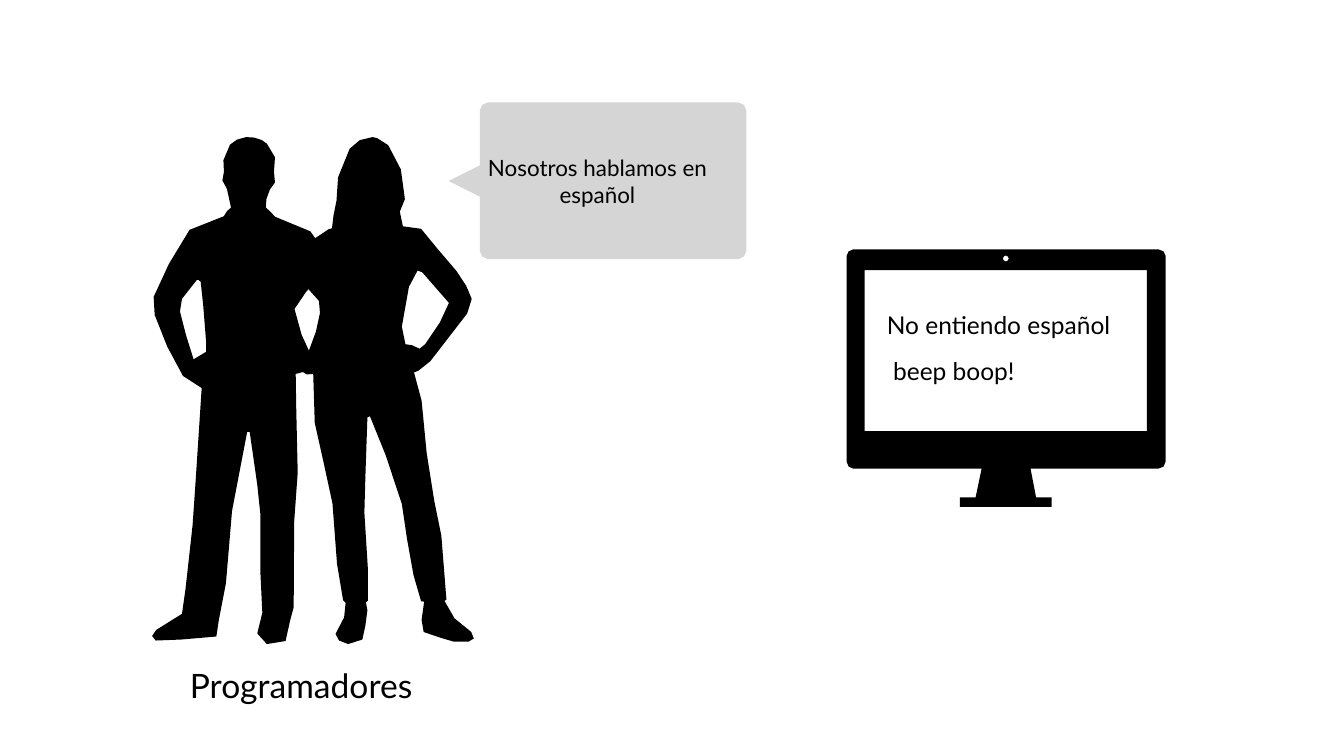
from dataclasses import dataclass
from pptx import Presentation
from pptx.dml.color import RGBColor as RGB
from pptx.enum.text import MSO_ANCHOR as Anchor, MSO_AUTO_SIZE as Fit, PP_ALIGN as Align
from pptx.util import Cm, Pt


@dataclass(frozen=True)
class Theme:
    font: str = "Lato"
    ink: RGB = RGB(0, 0, 0)
    cloud: RGB = RGB(0xD5, 0xD5, 0xD5)
    speech: int = 32
    screen: int = 35
    label: int = 48
    inset: float = 0.15  # cm
    gap: int = 24


THEME = Theme()

# Outlines: the first ring is the body, the others are holes (1/100 inch)
MAN = [
    """488,272 470,277 456,287 443,318 444,341 441,358 450,375 458,412 450,419
    444,429 376,456 335,524 305,589 307,625 332,688 363,746 380,757 400,770
    388,955 382,1042 368,1169 361,1218 310,1250 302,1262 309,1271 360,1269
    429,1263 434,1230 448,1157 460,1014 490,857 495,857 510,962 516,1019
    516,1133 520,1216 510,1257 529,1278 566,1272 575,1231 582,1205 583,1035
    590,938 587,807 586,742 628,731 663,665 684,615 691,603 688,578 680,571
    650,509 615,459 545,430 537,421 527,412 528,395 535,376 545,362 543,341
    545,312 529,285 519,278 504,273""",
    "593,554 599,560 632,597 634,621 626,658 611,699 578,692 580,644 588,561",
    """393,555 398,559 403,606 409,681 409,698 384,713 369,665 357,618 361,593
    390,556""",
]
WOMAN = [
    """740,272 715,278 695,295 672,352 669,398 663,428 660,453 653,455 619,478
    543,595 540,619 555,658 590,717 601,737 610,743 623,742 626,839 644,920
    661,999 670,1119 682,1191 687,1196 684,1225 667,1258 674,1271 692,1278
    720,1269 726,1241 730,1211 727,1195 731,1192 731,1130 724,1017 726,946
    730,828 735,826 766,903 798,1000 808,1068 821,1141 836,1193 842,1194
    837,1230 841,1254 861,1261 876,1266 900,1273 930,1273 940,1267 935,1254
    902,1227 882,1192 886,1190 883,1152 876,1063 862,994 847,899 837,795
    822,739 830,736 854,717 927,622 936,593 925,567 906,538 867,492 836,454
    800,449 794,420 804,395 796,336 771,288 749,274""",
    "829,537 838,540 891,601 873,640 844,683 833,692 818,685 805,683 798,648 812,569",
    """639,548 645,555 649,573 658,610 653,652 639,690 616,699 600,664 586,613
    609,579 633,552""",
]
SCREEN = [
    """1693,495 1684,499 1680,508 1680,915 1684,925 1693,929 1948,929 1936,986
    1905,986 1905,1005 2087,1005 2087,986 2056,986 2045,929 2299,929 2309,925
    2313,915 2313,508 2309,499 2299,495""",
    "1996,507 2000,509 2002,513 2000,517 1996,519 1992,517 1990,513 1992,509",
    "1716,536 2276,536 2276,855 1716,855",
]
BUBBLE = [
    """968,203 957,208 952,219 952,328 890,359 952,390 952,498 957,509 968,514
    1465,514 1476,509 1481,498 1481,219 1476,208 1465,203""",
]


def read(ring):
    return [tuple(map(float, pair.split(","))) for pair in ring.split()]


def draw(slide, box, rings, fill):
    """Fit an outline with its holes into a box given in cm."""
    left, top, wide, high = box
    rings = [read(ring) for ring in rings]
    xs, ys = zip(*rings[0])
    fx, fy = wide / (max(xs) - min(xs)), high / (max(ys) - min(ys))
    rings = [[(Cm(left + (x - min(xs)) * fx), Cm(top + (y - min(ys)) * fy))
              for x, y in ring] for ring in rings]
    pen = slide.shapes.build_freeform(*rings[0][0])
    pen.add_line_segments(rings[0][1:])
    for hole in rings[1:]:
        pen.move_to(*hole[0])
        pen.add_line_segments(hole[1:])
    shape = pen.convert_to_shape()
    shape.shadow.inherit = False
    shape.fill.solid()
    shape.fill.fore_color.rgb = fill
    shape.line.fill.background()
    return shape


def write(shape, text, size, wrap=False, align=Align.LEFT, gap=THEME.gap):
    frame = shape.text_frame
    frame.text = text
    frame.word_wrap = wrap
    frame.auto_size = Fit.NONE if wrap else Fit.SHAPE_TO_FIT_TEXT
    frame.vertical_anchor = Anchor.MIDDLE
    frame.margin_left = frame.margin_right = Cm(THEME.inset)
    frame.margin_top = frame.margin_bottom = Cm(THEME.inset)
    for para in frame.paragraphs:
        para.alignment = align
        para.space_before = Pt(gap)
        for run in para.runs:
            run.font.name = THEME.font
            run.font.size = Pt(size)
            run.font.color.rgb = THEME.ink


def label(slide, box, text, size):
    write(slide.shapes.add_textbox(*map(Cm, box)), text, size)


def team(slide, left, top):
    """Two people, their speech bubble and their caption."""
    draw(slide, (left, top, 9.91, 25.55), MAN, THEME.ink)
    draw(slide, (left + 6, top, 10.21, 25.55), WOMAN, THEME.ink)
    cloud = draw(slide, (left + 14.94, top - 1.75, 15.01, 7.9), BUBBLE, THEME.cloud)
    write(cloud, "Nosotros hablamos en español", THEME.speech, True, Align.CENTER, 0)
    label(slide, (left + 1.75, top + 26.34, 12.47, 2.51), "Programadores", THEME.label)


def machine(slide, left, top):
    """Monitor with its reply on the screen."""
    draw(slide, (left, top, 16.08, 12.98), SCREEN, THEME.ink)
    label(slide, (left + 1.88, top + 2.72, 12.29, 4.45),
          "No entiendo español\n beep boop!", THEME.screen)


def main():
    deck = Presentation()
    deck.slide_width, deck.slide_height = Cm(67.74), Cm(38.1)
    slide = deck.slides.add_slide(deck.slide_layouts[6])
    machine(slide, 42.67, 12.57)
    team(slide, 7.67, 6.91)
    deck.save("out.pptx")


if __name__ == "__main__":
    main()
